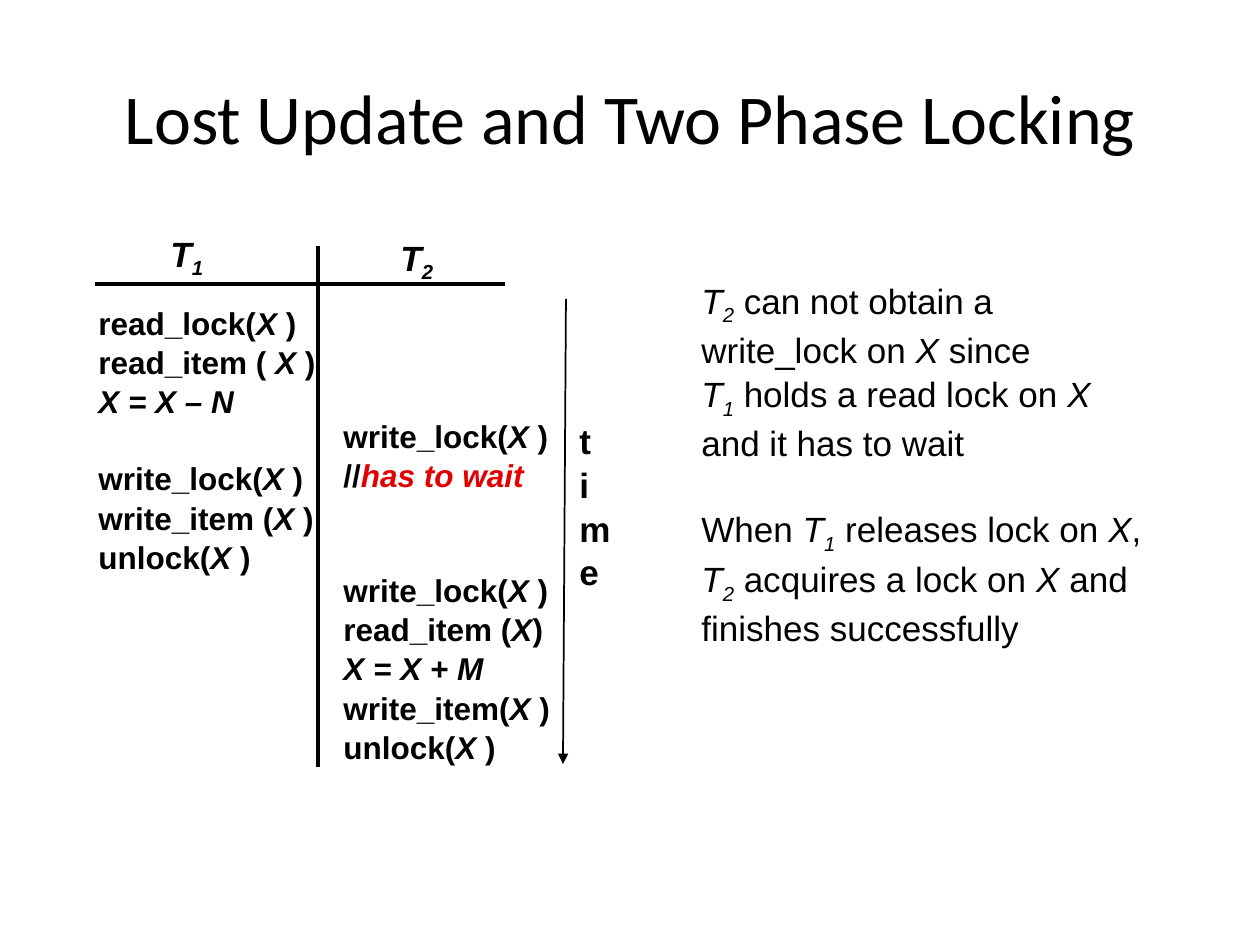
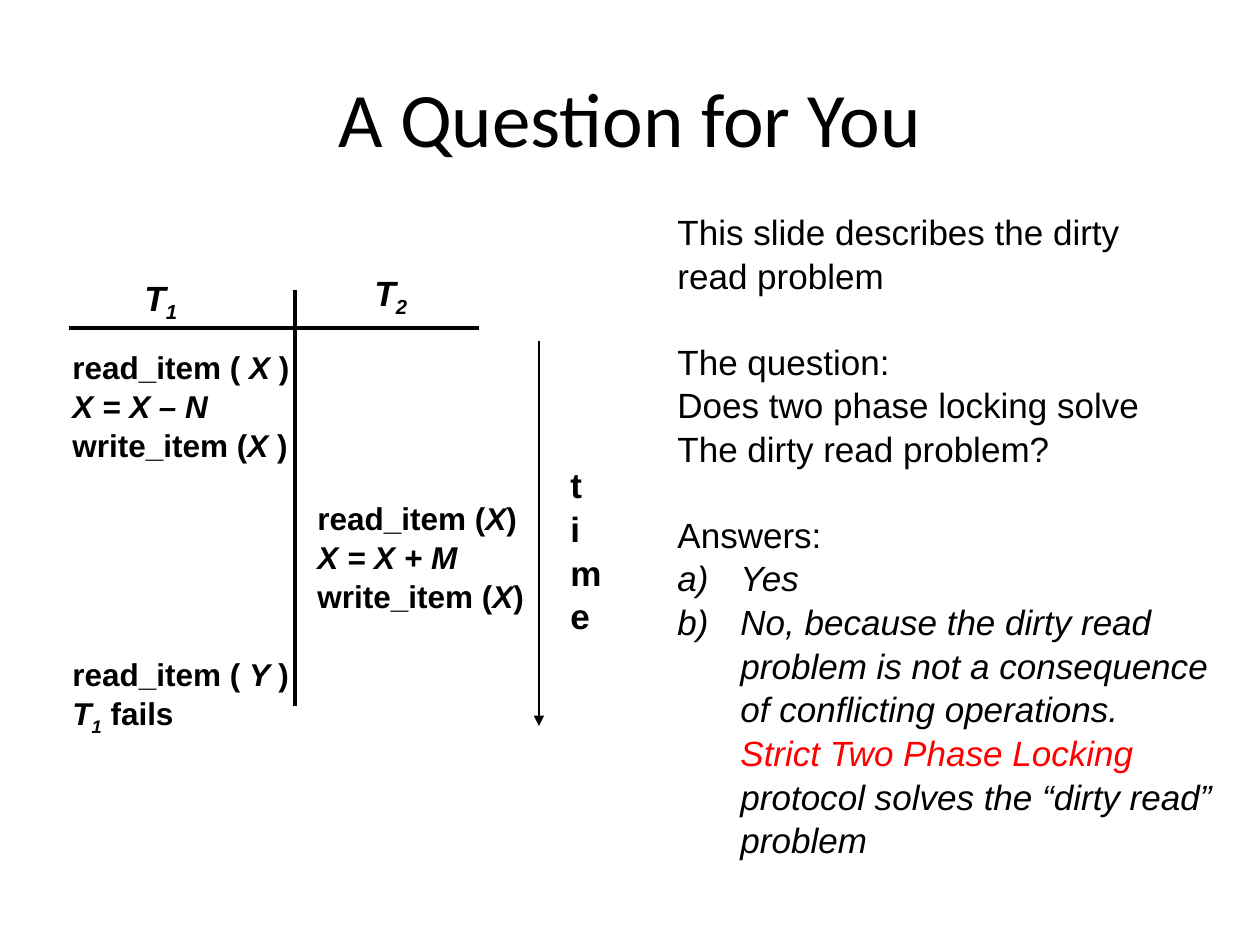
import pptx
import pptx.dml.color
import pptx.enum.shapes
import pptx.enum.text
import pptx.util
from lxml import etree
from pptx.oxml.ns import qn

PX = 914400 / 126          # one px in EMU
BLACK, RED, BRIGHT_RED = "000000", "E20000", "FF0000"
BODY_FONT, TITLE_FONT = "Arial", "Calibri"
LINE_SPACING = 1.045       # multiple set on body paragraphs
LINE_HEIGHT = 1.2          # resulting line height, per point of text size
PX_PER_POINT = 1.75
ANSWER_INDENT = 63

# Markup in the texts: ~ toggles italic, ^ subscript, | the accent colour;
# an empty line becomes a gap before the next paragraph.


def px(length):
    return pptx.util.Emu(round(length * PX))


def color(hex_code):
    return pptx.dml.color.RGBColor.from_string(hex_code)


def add_text_box(page, box, anchor=pptx.enum.text.MSO_ANCHOR.TOP):
    frame = page.shapes.add_textbox(*map(px, box)).text_frame
    frame.word_wrap = True
    frame.vertical_anchor = anchor
    return frame


def add_span(para, text, size, bold, italic, subscript, hex_code):
    span = para.add_run()
    span.text = text
    font = span.font
    font.name, font.size = BODY_FONT, pptx.util.Pt(size)
    font.bold, font.italic = bold, italic
    font.color.rgb = color(hex_code)
    if subscript:
        span._r.get_or_add_rPr().set("baseline", "-25000")


def write_marked(para, text, size, bold, accent):
    """Write one paragraph, splitting it into runs at the markup."""
    active = {"~": False, "^": False, "|": False}
    pending = ""
    for char in text + "\n":
        if char not in active and char != "\n":
            pending += char
            continue
        if pending:
            add_span(para, pending, size, bold, active["~"], active["^"],
                     accent if active["|"] else BLACK)
            pending = ""
        if char == "\n":
            para.add_line_break()
        else:
            active[char] = not active[char]
    # The closing newline only flushes the last run
    para._p.remove(para._p[-1])


def number_answer(para):
    """Give the paragraph a hanging a), b) number."""
    properties = para._p.get_or_add_pPr()
    properties.set("marL", str(px(ANSWER_INDENT)))
    properties.set("indent", str(-px(ANSWER_INDENT)))
    etree.SubElement(properties, qn("a:buFont"), typeface=BODY_FONT)
    etree.SubElement(properties, qn("a:buAutoNum"), type="alphaLcParenR")


def write_lines(frame, lines, size, bold=False, accent=RED, answers=()):
    gap, first = 0, True
    for line in lines:
        if not line:
            gap += 1
            continue
        para = frame.paragraphs[0] if first else frame.add_paragraph()
        para.line_spacing = LINE_SPACING
        if gap:
            para.space_before = pptx.util.Pt(round(gap * size * LINE_HEIGHT, 1))
        if line in answers:
            number_answer(para)
        write_marked(para, line, size, bold, accent)
        gap, first = 0, False


def add_line(page, start, end, width, arrow=False):
    line = page.shapes.add_connector(
        pptx.enum.shapes.MSO_CONNECTOR.STRAIGHT, *map(px, start + end))
    line.line.color.rgb = color(BLACK)
    line.line.width = pptx.util.Pt(width)
    if arrow:
        etree.SubElement(line.line._get_or_add_ln(), qn("a:tailEnd"),
                         type="triangle")
    etree.SubElement(line._element.spPr, qn("a:effectLst"))


def add_title(page, text, size):
    frame = add_text_box(page, (63, 38, 1134, 157),
                         pptx.enum.text.MSO_ANCHOR.MIDDLE)
    frame.text = text
    para = frame.paragraphs[0]
    para.alignment = pptx.enum.text.PP_ALIGN.CENTER
    font = para.runs[0].font
    font.name, font.size = TITLE_FONT, pptx.util.Pt(size)
    font.color.rgb = color(BLACK)


def add_steps(page, left, top, steps):
    """Write a transaction's steps, starting below its idle lines."""
    size = 18
    idle = next(row for row, step in enumerate(steps) if step)
    top += round(idle * size * LINE_HEIGHT * PX_PER_POINT)
    height = round((len(steps) - idle) * size * LINE_HEIGHT * PX_PER_POINT) + 13
    frame = add_text_box(page, (left, top, 260, height))
    write_lines(frame, steps[idle:], size, bold=True)


def add_schedule(page, box, divider, heading_tops, arrow, time_left,
                 first_steps, second_steps):
    """Draw both transactions; box starts at the left end of the header rule."""
    left, top, width, height = box
    # Rules
    add_line(page, (left, top), (left + width, top), 2.25)
    add_line(page, (left + divider, top - 38),
             (left + divider, top - 38 + height), 2.25)
    # Headings
    for number, offset in enumerate((63, 293)):
        frame = add_text_box(page, (left + offset, top + heading_tops[number],
                                    80, 60))
        write_lines(frame, [f"~T^{number + 1}"], 20, bold=True)
    # Steps
    add_steps(page, left - 9, top + 12, first_steps)
    add_steps(page, left + 236, top + 12, second_steps)
    # Time axis
    start_x, start_y, end_x, end_y = arrow
    add_line(page, (left + start_x, top + start_y),
             (left + end_x, top + end_y), 1, arrow=True)
    frame = add_text_box(page, (left + time_left, top + 128, 70, 181))
    write_lines(frame, list("time"), 20, bold=True)


def build_lost_update(page):
    add_title(page, "Lost Update and Two Phase Locking", 40)
    add_schedule(
        page, (95, 284, 410, 521), 223, (-60, -56), (471, 15, 468, 480), 472,
        ["read_lock(~X~ )", "read_item ( ~X ~)", "~X = X – N", "",
         "write_lock(~X~ )", "write_item (~X ~)", "unlock(~X~ )"],
        ["", "", "", "write_lock(~X~ )", "//~|has to wait", "", "",
         "write_lock(~X~ )", "read_item (~X~)", "~X = X + M",
         "write_item(~X~ )", "unlock(~X~ )"])
    # Explanation
    frame = add_text_box(page, (689, 271, 476, 415))
    write_lines(frame, [
        "~T^2^~ can not obtain a write_lock on ~X~ since",
        "~T^1^~ holds a read lock on ~X",
        "and it has to wait",
        "",
        "When ~T^1^~ releases lock on ~X~, ~T^2^~ acquires a lock on ~X~ "
        "and finishes successfully"], 20)


def build_question(page):
    add_title(page, "A Question for You", 44)
    add_schedule(
        page, (69, 328, 410, 416), 226, (-60, -65), (470, 13, 470, 398), 489,
        ["read_item ( ~X ~)", "~X = X – N", "write_item (~X ~)",
         "", "", "", "", "", "read_item ( ~Y ~)", "~T^1^~ fails"],
        ["", "", "", "", "read_item (~X~)", "~X = X + M", "write_item (~X~)"])
    # Question and answers
    answers = [
        "~Yes",
        "~No, because the dirty read\nproblem is not a consequence\n"
        "of conflicting operations.\n|Strict Two Phase Locking|\n"
        "protocol solves the “dirty read”\nproblem"]
    frame = add_text_box(page, (665, 203, 575, 643))
    write_lines(frame, [
        "This slide describes the dirty", "read problem", "",
        "The question:", "Does two phase locking solve",
        "The dirty read problem?", "", "Answers:", *answers],
        20, accent=BRIGHT_RED, answers=answers)


def main():
    deck = pptx.Presentation()
    deck.slide_width, deck.slide_height = px(1260), px(945)
    for build in (build_lost_update, build_question):
        build(deck.slides.add_slide(deck.slide_layouts[6]))
    deck.save("out.pptx")


if __name__ == "__main__":
    main()
